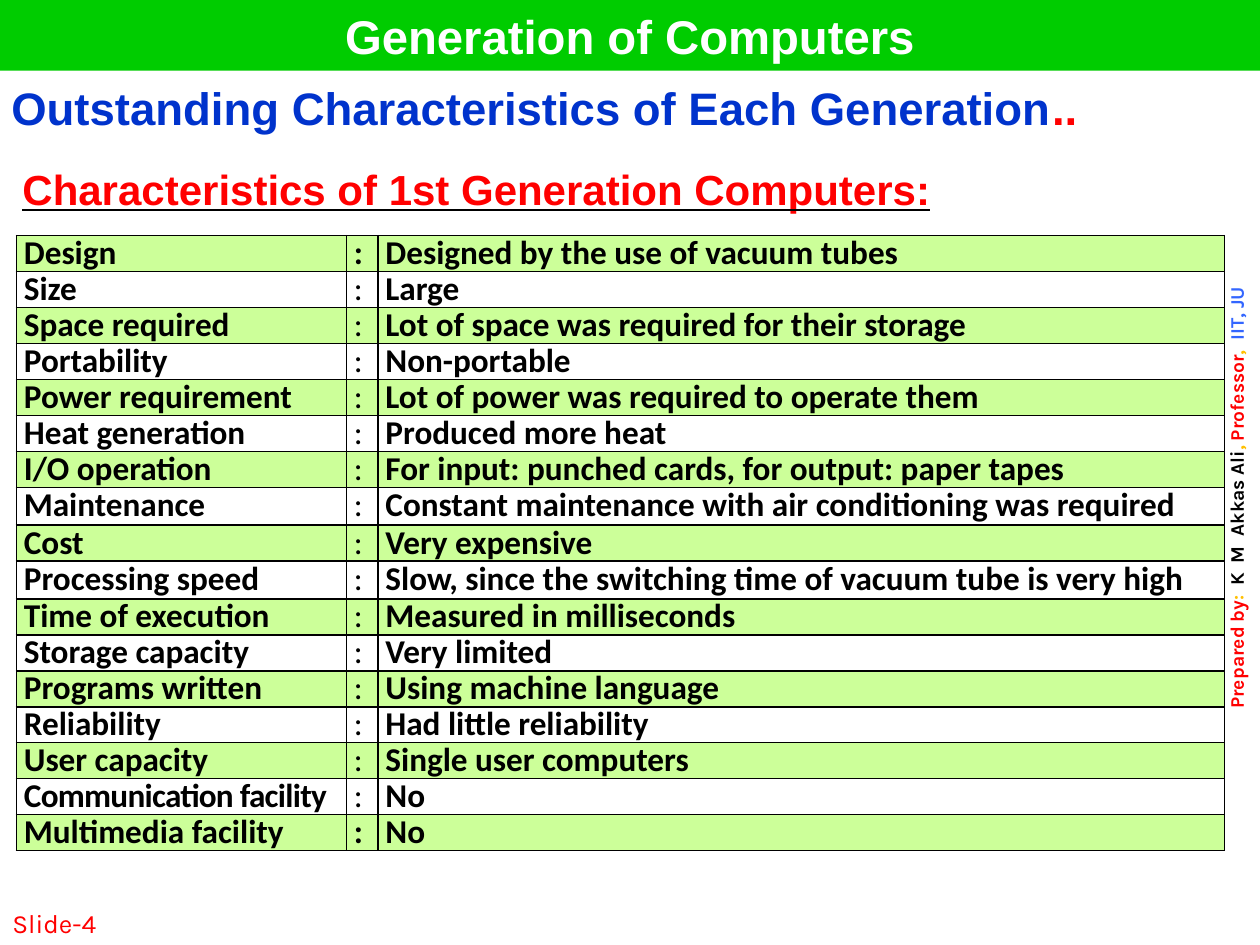
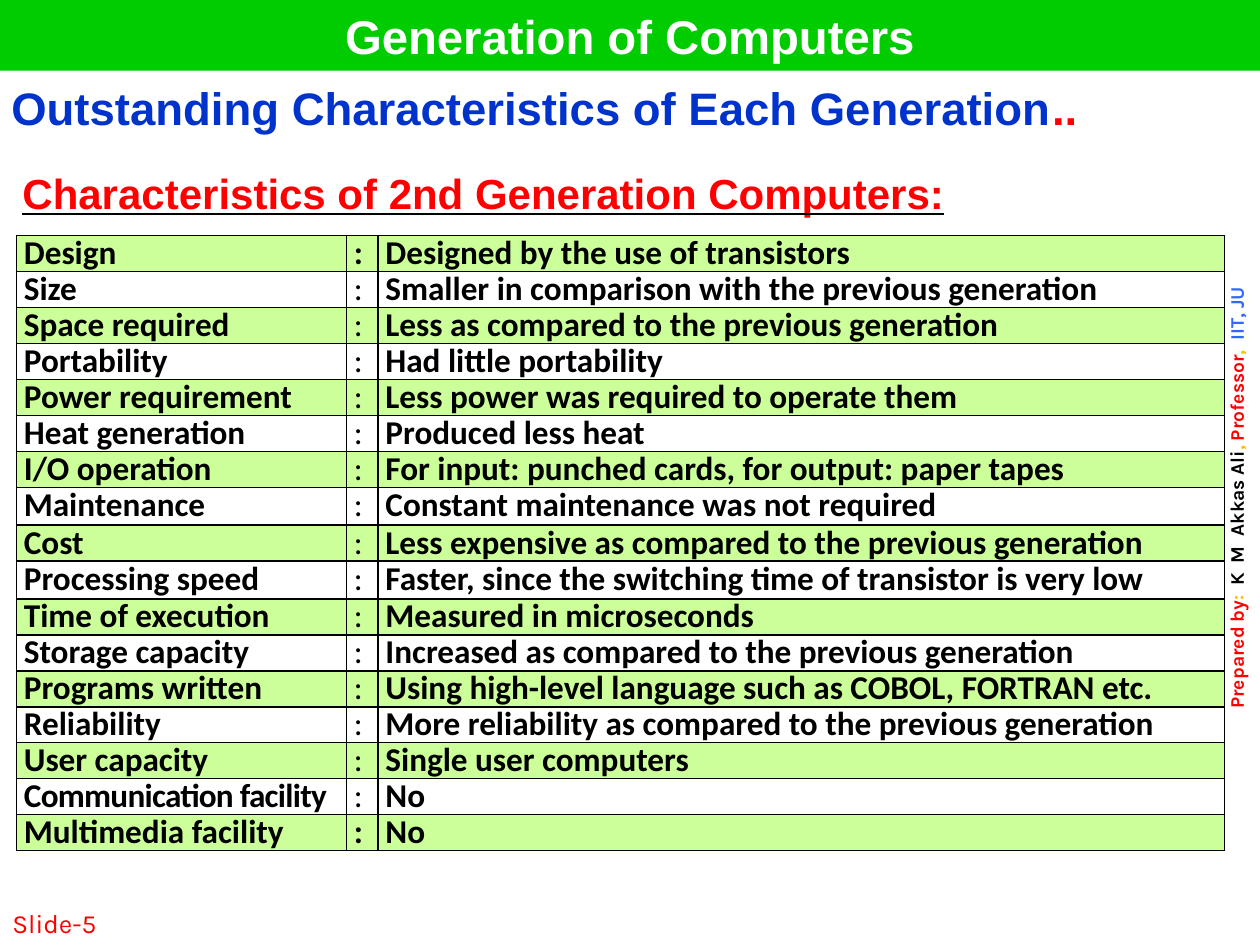
from lxml.etree import SubElement
from pptx import Presentation
from pptx.dml.color import RGBColor
from pptx.enum.shapes import MSO_SHAPE
from pptx.enum.text import MSO_ANCHOR, PP_ALIGN
from pptx.oxml.ns import qn
from pptx.util import Inches, Pt

WIDE, HIGH = Inches(10), Inches(7.5)

COLORS = {
    "green": "00CC00", "lime": "CCFF99", "white": "FFFFFF", "black": "000000",
    "navy": "0033CC", "red": "FF0000", "gold": "FFC000", "sky": "3366FF",
}

# Text formats: each entry is set on the font of a run
BAND = {"name": "Arial", "size": Pt(27), "bold": True}
TITLE = {"name": "Arial", "size": Pt(26), "bold": True}
HEAD = {"name": "Arial", "size": Pt(24), "bold": True, "underline": True}
BODY = {"name": "Calibri", "size": Pt(19), "bold": True}
THIN = BODY | {"bold": False}
CREDIT = {"name": "Karla", "size": Pt(11), "bold": True}
NUMBER = {"name": "Karla", "size": Pt(15), "bold": False}

AUTHOR = [("Prepared by", "red"), (":  ", "gold"), ("K  M  Akkas Ali", "black"),
          (", ", "gold"), ("Professor", "red"), (",  ", "gold"), ("IIT, JU", "sky")]

LABELS = [
    "Design", "Size", "Space required", "Portability", "Power requirement",
    "Heat generation", "I/O operation", "Maintenance", "Cost",
    "Processing speed", "Time of execution", "Storage capacity",
    "Programs written", "Reliability", "User capacity",
    "Communication facility", "Multimedia facility",
]
TIGHT = "Communication facility"
TALL = ("Maintenance", "Processing speed")

FIRST = [
    "Designed by the use of vacuum tubes",
    "Large",
    "Lot of space was required for their storage",
    "Non-portable",
    "Lot of power was required to operate them",
    "Produced more heat",
    "For input: punched cards, for output: paper tapes",
    "Constant maintenance with air conditioning was required",
    "Very expensive",
    "Slow, since the switching time of vacuum tube is very high",
    "Measured in milliseconds",
    "Very limited",
    "Using machine language",
    "Had little reliability",
    "Single user computers",
    "No",
    "No",
]
SECOND = [
    "Designed by the use of transistors",
    "Smaller in comparison with the previous generation",
    "Less as compared to the previous generation",
    "Had little portability",
    "Less power was required to operate them",
    "Produced less heat",
    "For input: punched cards, for output: paper tapes",
    "Constant maintenance was not required",
    "Less expensive as compared to the previous generation",
    "Faster, since the switching time of transistor is very low",
    "Measured in microseconds",
    "Increased as compared to the previous generation",
    "Using high-level language such as COBOL, FORTRAN etc.",
    "More reliability as compared to the previous generation",
    "Single user computers",
    "No",
    "No",
]


def rgb(name):
    return RGBColor.from_string(COLORS[name])


def place(x, y, w, h):
    """Turn percent of the slide into lengths."""
    return [int(part * full / 100)
            for part, full in zip((x, y, w, h), (WIDE, HIGH) * 2)]


def write(frame, runs, style, align=PP_ALIGN.JUSTIFY):
    """Fill the first paragraph with (text, colour) runs."""
    para = frame.paragraphs[0]
    para.alignment = align
    for text, color in runs:
        run = para.add_run()
        run.text = text
        for key, value in style.items():
            setattr(run.font, key, value)
        run.font.color.rgb = rgb(color)
    return para


def add_text(slide, spot, runs, style, align, anchor=MSO_ANCHOR.TOP):
    frame = slide.shapes.add_textbox(*place(*spot)).text_frame
    frame.word_wrap = True
    frame.vertical_anchor = anchor
    return frame, write(frame, runs, style, align)


def add_band(slide, text):
    band = slide.shapes.add_shape(MSO_SHAPE.RECTANGLE, *place(0, 0, 100, 7.47))
    band.shadow.inherit = False
    band.fill.solid()
    band.fill.fore_color.rgb = rgb("green")
    band.line.fill.background()
    write(band.text_frame, [(text, "white")], BAND, PP_ALIGN.CENTER)


def add_head(slide, top, text):
    para = add_text(slide, (0.8, top, 91.7, 7.73), [(text, "red")],
                    HEAD, PP_ALIGN.JUSTIFY)[1]
    para.space_before = Pt(2)
    # Black underline below red text
    props = para.runs[0].font._element
    line = SubElement(props, qn("a:uFill"))
    paint = SubElement(line, qn("a:solidFill"))
    SubElement(paint, qn("a:srgbClr"), val=COLORS["black"])
    props.find(qn("a:latin")).addprevious(line)


def add_grid(slide, spot, rows, cols):
    grid = slide.shapes.add_table(rows, cols, *place(*spot)).table
    grid.first_row = grid.horz_banding = False
    return grid


def set_cell(cell, runs, style, inset, fill=None):
    cell.margin_left = cell.margin_right = Inches(inset)
    cell.margin_top = cell.margin_bottom = 0
    if fill:
        cell.fill.solid()
        cell.fill.fore_color.rgb = rgb(fill)
    else:
        cell.fill.background()
    return write(cell.text_frame, runs, style)


def add_edges(cell):
    props = cell._tc.get_or_add_tcPr()
    for spot, side in enumerate(("lnL", "lnR", "lnT", "lnB")):
        line = SubElement(props, qn(f"a:{side}"), w=str(Pt(1)))
        paint = SubElement(line, qn("a:solidFill"))
        SubElement(paint, qn("a:srgbClr"), val=COLORS["black"])
        props.insert(spot, line)


def add_title(slide, runs):
    grid = add_grid(slide, (0.2, 8.93, 98.1, 5.7), 1, 1)
    set_cell(grid.cell(0, 0), runs, TITLE, 0.07)


def add_facts(slide, facts):
    grid = add_grid(slide, (1.3, 24.93, 95.9, 65), len(LABELS), 3)
    for col, share in zip(grid.columns, (26.2, 2.5, 67.2)):
        col.width = int(WIDE * share / 100)
    for i, (label, fact) in enumerate(zip(LABELS, facts)):
        grid.rows[i].height = Inches(0.3 if label in TALL else 0.28)
        colon = BODY if i in (0, len(LABELS) - 1) else THIN
        fill = None if i % 2 else "lime"
        for j, (text, style) in enumerate(((label, BODY), (":", colon), (fact, BODY))):
            cell = grid.cell(i, j)
            para = set_cell(cell, [(text, "black")], style, 0.06, fill)
            para.line_spacing = 0.9
            add_edges(cell)
            if text == TIGHT:
                para.runs[0].font._element.set("spc", "-40")


def add_frame(slide, number):
    """Parts that every slide shares: credit, band, title and number."""
    frame = add_text(slide, (96.7, 6.53, 3.9, 92.27), AUTHOR, CREDIT,
                     PP_ALIGN.CENTER)[0]
    frame._txBody.bodyPr.set("vert", "vert270")
    add_band(slide, "Generation of Computers")
    add_title(slide, [("Outstanding Characteristics of Each Generation", "navy"),
                      ("..", "red")])
    add_text(slide, (0, 93.33, 20.8, 6.67), [(f"Slide-{number}", "red")],
             NUMBER, PP_ALIGN.LEFT, MSO_ANCHOR.BOTTOM)


def main():
    deck = Presentation()
    deck.slide_width, deck.slide_height = WIDE, HIGH
    pages = [(4, "1st", 16.67, FIRST), (5, "2nd", 17.07, SECOND)]
    for number, rank, top, facts in pages:
        slide = deck.slides.add_slide(deck.slide_layouts[6])
        add_frame(slide, number)
        add_head(slide, top, f"Characteristics of {rank} Generation Computers:")
        add_facts(slide, facts)
    deck.save("out.pptx")


if __name__ == "__main__":
    main()
